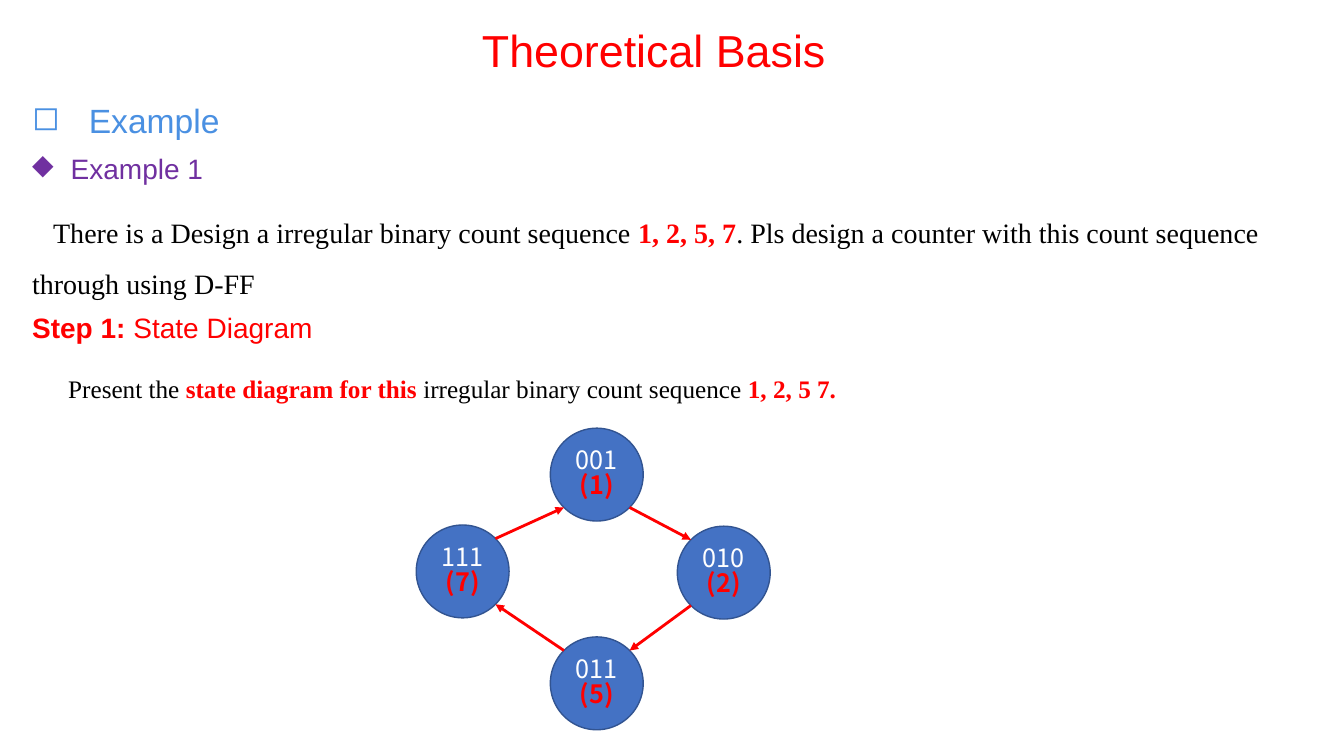
from dataclasses import dataclass
from math import sqrt
from typing import NamedTuple

from lxml import etree
from pptx import Presentation
from pptx.dml.color import RGBColor
from pptx.enum.shapes import MSO_CONNECTOR, MSO_SHAPE
from pptx.enum.text import MSO_ANCHOR, MSO_AUTO_SIZE, PP_ALIGN
from pptx.oxml.ns import qn
from pptx.util import Cm, Pt

CENTER, JUSTIFY, LEFT = PP_ALIGN.CENTER, PP_ALIGN.JUSTIFY, PP_ALIGN.LEFT
TOP, MIDDLE, BOTTOM = MSO_ANCHOR.TOP, MSO_ANCHOR.MIDDLE, MSO_ANCHOR.BOTTOM
RED, BLACK, WHITE = "FF0000", "000000", "FFFFFF"
SKY, PURPLE = "4A90E2", "7030A0"
STATE_FILL, STATE_LINE = "4472C4", "325491"
SANS, SERIF, STATE_FONT = "Arial", "Times New Roman", "Noto Sans CJK SC"
DIAMETER = 2.34
DIAGONAL = DIAMETER / 2 / sqrt(2)


class Span(NamedTuple):
    text: str
    color: str
    bold: bool = False


@dataclass
class Line:
    spans: list[Span]
    size: float
    font: str = SANS
    align: PP_ALIGN = LEFT
    spacing: float = 0.9
    before: float = 0
    bullet: str = ""
    margin: float = 0
    indent: float = 0


class State(NamedTuple):
    bits: str
    value: str
    x: float
    y: float


class Transition(NamedTuple):
    """Arrow between two states; sides are the corner signs it touches."""
    source: State
    source_side: tuple[int, int]
    target: State
    target_side: tuple[int, int]


def rgb(color: str) -> RGBColor:
    return RGBColor.from_string(color)


def apply(target, values: dict) -> None:
    for name, value in values.items():
        setattr(target, name, value)


def add_span(paragraph, span: Span, size: float, font: str) -> None:
    run = paragraph.add_run()
    run.text = span.text
    apply(run.font, {"name": font, "size": Pt(size), "bold": span.bold})
    run.font.color.rgb = rgb(span.color)


def write_line(paragraph, line: Line) -> None:
    properties = paragraph._p.get_or_add_pPr()
    properties.set("marL", str(Cm(line.margin)))
    properties.set("indent", str(Cm(line.indent)))
    if line.bullet:
        etree.SubElement(properties, qn("a:buChar")).set("char", line.bullet)
    apply(paragraph, {"alignment": line.align, "line_spacing": line.spacing,
                      "space_before": Pt(line.before)})
    for span in line.spans:
        add_span(paragraph, span, line.size, line.font)


def add_text(slide, left: float, top: float, width: float, height: float,
             lines: list[Line], anchor: MSO_ANCHOR = TOP,
             auto_size: MSO_AUTO_SIZE = MSO_AUTO_SIZE.NONE) -> None:
    frame = slide.shapes.add_textbox(
        Cm(left), Cm(top), Cm(width), Cm(height)).text_frame
    apply(frame, {"word_wrap": True, "vertical_anchor": anchor,
                  "auto_size": auto_size})
    for index, line in enumerate(lines):
        paragraph = frame.add_paragraph() if index else frame.paragraphs[0]
        write_line(paragraph, line)


def add_state(slide, state: State) -> None:
    circle = slide.shapes.add_shape(
        MSO_SHAPE.OVAL, Cm(state.x - DIAMETER / 2), Cm(state.y - DIAMETER / 2),
        Cm(DIAMETER), Cm(DIAMETER))
    circle.shadow.inherit = False
    circle.fill.solid()
    circle.fill.fore_color.rgb = rgb(STATE_FILL)
    circle.line.color.rgb = rgb(STATE_LINE)
    circle.line.width = Pt(1)
    frame = circle.text_frame
    apply(frame, {"word_wrap": True, "vertical_anchor": MIDDLE,
                  "margin_left": 0, "margin_right": 0,
                  "margin_top": 0, "margin_bottom": 0})
    label = frame.paragraphs[0]
    apply(label, {"alignment": CENTER, "line_spacing": 0.83})
    add_span(label, Span(state.bits, WHITE), 18, STATE_FONT)
    label.add_line_break()
    add_span(label, Span(f"({state.value})", RED, True), 18, STATE_FONT)


def rim_point(state: State, side: tuple[int, int]) -> tuple[Cm, Cm]:
    return (Cm(state.x + side[0] * DIAGONAL), Cm(state.y + side[1] * DIAGONAL))


def add_transition(slide, transition: Transition) -> None:
    arrow = slide.shapes.add_connector(
        MSO_CONNECTOR.STRAIGHT,
        *rim_point(transition.source, transition.source_side),
        *rim_point(transition.target, transition.target_side))
    arrow.line.color.rgb = rgb(RED)
    arrow.line.width = Pt(2)
    outline = arrow.line._get_or_add_ln()
    etree.SubElement(outline, qn("a:tailEnd")).set("type", "triangle")
    etree.SubElement(arrow._element.spPr, qn("a:effectLst"))


TITLE = [Line([Span("Theoretical Basis", RED)], 32, align=CENTER)]
PROBLEM = [
    Line([Span("Example", SKY)], 24, bullet="◻", margin=1.43, indent=-1.43),
    Line([Span("Example 1", PURPLE)], 20, before=10, bullet="◆",
         margin=0.97, indent=-0.97),
    Line([Span("There is a Design a irregular binary count sequence ", BLACK),
          Span("1, 2, 5, 7", RED, True),
          Span(". Pls design a counter with this count sequence "
               "through using D-FF", BLACK)],
         20, font=SERIF, spacing=1.5, before=10, indent=0.53),
    Line([Span("Step 1: ", RED, True), Span("State Diagram", RED)],
         20, before=10),
]
TASK = [
    Line([Span("Present the ", BLACK),
          Span("state diagram for this ", RED, True),
          Span("irregular binary count sequence ", BLACK),
          Span("1, 2, 5 7.", RED, True)],
         18, font=SERIF, align=JUSTIFY, spacing=1.5),
]

ONE = State("001", "1", 15.04, 11.96)
TWO = State("010", "2", 18.24, 14.43)
SEVEN = State("111", "7", 11.66, 14.4)
FIVE = State("011", "5", 15.04, 17.22)
TRANSITIONS = [
    Transition(ONE, (1, 1), TWO, (-1, -1)),
    Transition(TWO, (-1, 1), FIVE, (1, -1)),
    Transition(FIVE, (-1, -1), SEVEN, (1, 1)),
    Transition(SEVEN, (1, -1), ONE, (-1, 1)),
]


def main() -> None:
    deck = Presentation()
    deck.slide_width, deck.slide_height = Cm(33.87), Cm(19.05)
    slide = deck.slides.add_slide(deck.slide_layouts[6])
    add_text(slide, 3.78, 0.43, 25.4, 1.63, TITLE, anchor=BOTTOM)
    add_text(slide, 0.56, 2.51, 31.88, 1.07, PROBLEM)
    add_text(slide, 1.47, 8.89, 31.45, 1.27, TASK,
             auto_size=MSO_AUTO_SIZE.SHAPE_TO_FIT_TEXT)
    for state in (ONE, TWO, SEVEN, FIVE):
        add_state(slide, state)
    for transition in TRANSITIONS:
        add_transition(slide, transition)
    deck.save("out.pptx")


if __name__ == "__main__":
    main()
